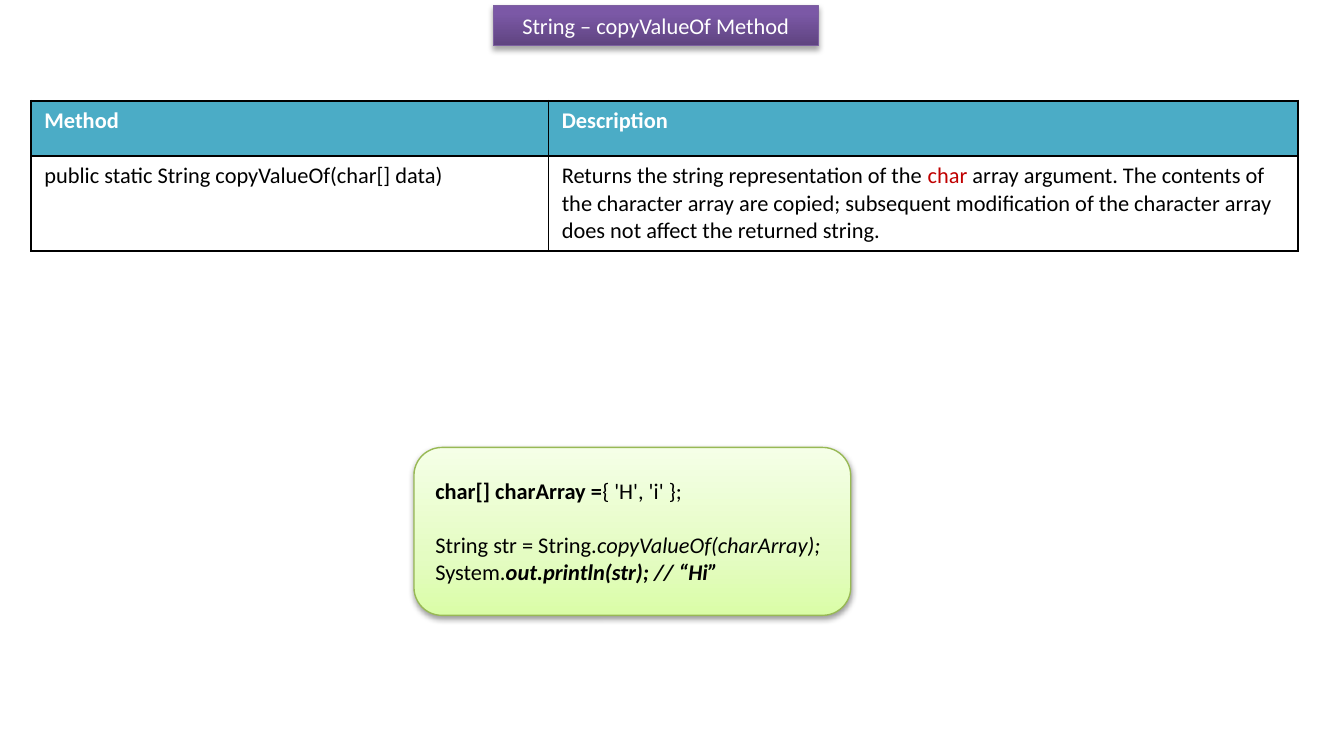
"""Build a slide on the copyValueOf method of String."""
from lxml.etree import SubElement
from pptx import Presentation
from pptx.dml.color import RGBColor
from pptx.enum.shapes import MSO_SHAPE
from pptx.enum.text import MSO_ANCHOR, PP_ALIGN
from pptx.oxml import parse_xml
from pptx.oxml.ns import nsdecls, qn
from pptx.util import Inches, Pt

HUES = {"white": "FFFFFF", "black": "000000", "red": "C00000", "teal": "4BACC6",
        "purple": "7D60A0", "green": "98B955"}


def write(para, runs):
    for text, hue, style in runs:
        run = para.add_run()
        run.text = text
        font = run.font
        font.name, font.size = "Calibri", Pt(12)
        font.bold, font.italic = "b" in style, "i" in style
        font.color.rgb = RGBColor.from_string(HUES[hue])


def add_box(kind, place, stops, edge, alpha, drop):
    box = slide.shapes.add_shape(kind, *[Inches(n) for n in place])
    box.shadow.inherit = False
    box.line.color.rgb = RGBColor.from_string(HUES[edge])
    box.line.width = Pt(0.75)
    box.fill.gradient()
    box.fill.gradient_angle = 90
    props = box.element.spPr
    ramp = props.find(".//" + qn("a:gsLst"))
    for old in list(ramp):
        ramp.remove(old)
    for pos, hue in stops:
        stop = SubElement(ramp, qn("a:gs"), pos=str(pos * 1000))
        SubElement(stop, qn("a:srgbClr"), val=hue)
    props.find(qn("a:effectLst")).append(parse_xml(
        f'<a:outerShdw {nsdecls("a")} blurRad="{Pt(3.1)}" dist="{Pt(drop)}" '
        f'dir="5400000" rotWithShape="0"><a:srgbClr val="{HUES["black"]}">'
        f'<a:alpha val="{alpha * 1000}"/></a:srgbClr></a:outerShdw>'))
    box.text_frame.word_wrap = True
    return box.text_frame


deck = Presentation()
deck.slide_width, deck.slide_height = Inches(10), Inches(5.5)
slide = deck.slides.add_slide(deck.slide_layouts[6])

title = add_box(MSO_SHAPE.RECTANGLE, (3.67, 0.04, 2.42, 0.3),
                [(0, "5F4480"), (80, "7B58A6"), (100, "7C57A8")], "purple", 35, 1.8)
title.vertical_anchor = MSO_ANCHOR.TOP
title.paragraphs[0].alignment = PP_ALIGN.CENTER
write(title.paragraphs[0], [("String – copyValueOf Method", "white", "")])

code = add_box(MSO_SHAPE.ROUNDED_RECTANGLE, (3.08, 3.33, 3.25, 1.25),
               [(0, "DAFDA7"), (35, "E4FCC2"), (100, "F5FFE7")], "green", 38, 1.6)
code.vertical_anchor = MSO_ANCHOR.MIDDLE
lines = [
    [("char[] charArray =", "black", "b"), ("{ 'H', 'i' };", "black", "")],
    [("String str = String.", "black", ""), ("copyValueOf(charArray);", "black", "i")],
    [("System.", "black", ""), ("out.println(str); // “Hi”", "black", "bi")],
]
for i, runs in enumerate(lines):
    para = code.add_paragraph() if i else code.paragraphs[0]
    para.alignment = PP_ALIGN.LEFT
    write(para, runs)
code.paragraphs[1].space_before = Pt(14.6)

rows = [
    [[("Method", "white", "b")], [("Description", "white", "b")]],
    [[("public static String copyValueOf(char[] data)", "black", "")],
     [("Returns the string representation of the ", "black", ""),
      ("char", "red", ""),
      (" array argument. The contents of the character array are copied; "
       "subsequent modification of the character array does not affect the "
       "returned string.", "black", "")]],
]
grid = slide.shapes.add_table(2, 2, Inches(0.23), Inches(0.75),
                              Inches(9.43), Inches(1.11)).table
grid.horz_banding = False
for col, width in zip(grid.columns, (3.85, 5.58)):
    col.width = Inches(width)
for row, height in zip(grid.rows, (0.41, 0.7)):
    row.height = Inches(height)
for r, row in enumerate(rows):
    for c, runs in enumerate(row):
        cell = grid.cell(r, c)
        write(cell.text_frame.paragraphs[0], runs)
        props = cell._tc.get_or_add_tcPr()
        for side in ("lnL", "lnR", "lnT", "lnB"):
            edge = SubElement(props, qn("a:" + side), w=str(Pt(1)))
            fill = SubElement(edge, qn("a:solidFill"))
            SubElement(fill, qn("a:srgbClr"), val=HUES["black"])
        cell.fill.solid()
        cell.fill.fore_color.rgb = RGBColor.from_string(HUES["white" if r else "teal"])

deck.save("out.pptx")
